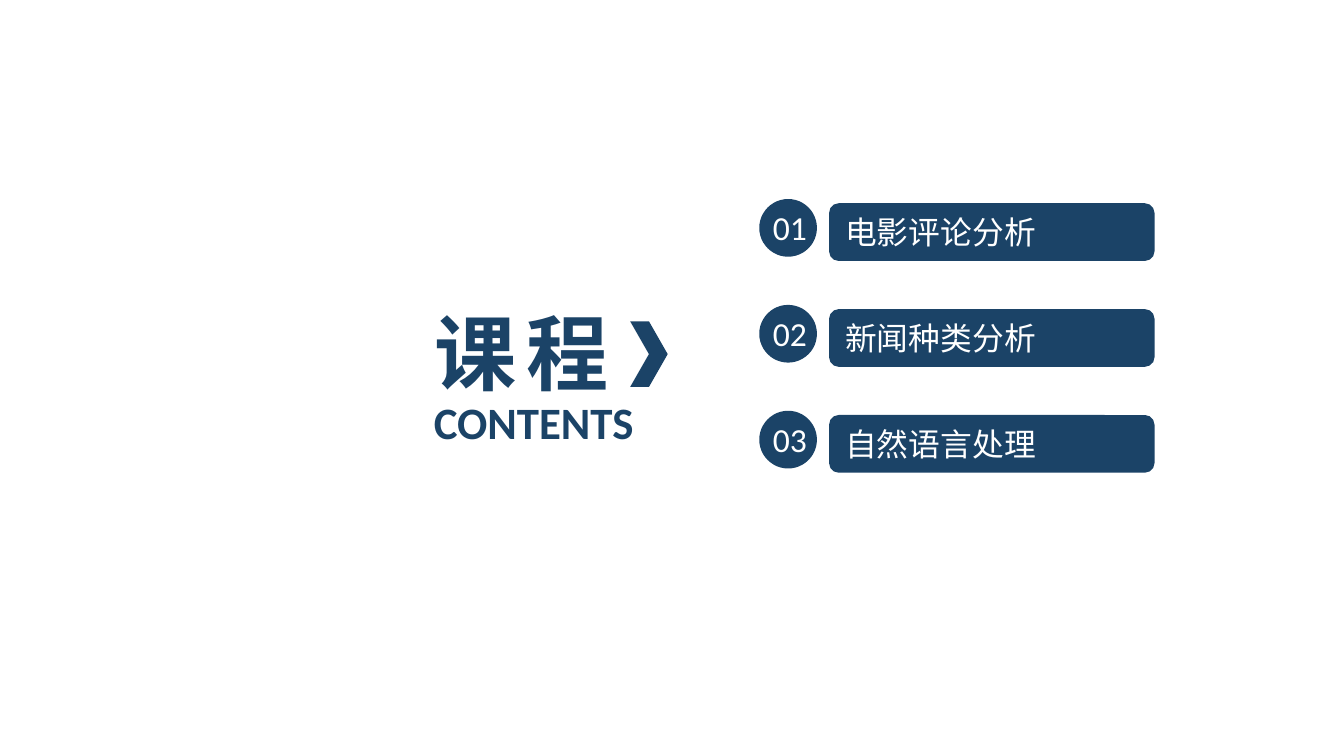
from dataclasses import dataclass

from pptx import Presentation
from pptx.dml.color import RGBColor
from pptx.enum.shapes import MSO_SHAPE
from pptx.enum.text import MSO_ANCHOR, MSO_AUTO_SIZE, PP_ALIGN
from pptx.util import Cm, Pt

ROUNDED, OVAL, CHEVRON = (
    MSO_SHAPE.ROUNDED_RECTANGLE, MSO_SHAPE.OVAL, MSO_SHAPE.CHEVRON)
LEFT, CENTER = PP_ALIGN.LEFT, PP_ALIGN.CENTER
TOP, MIDDLE = MSO_ANCHOR.TOP, MSO_ANCHOR.MIDDLE
GROW = MSO_AUTO_SIZE.SHAPE_TO_FIT_TEXT
TITLE_ONLY = 5


@dataclass(frozen=True)
class Theme:
    navy: RGBColor = RGBColor(0x1B, 0x43, 0x67)
    white: RGBColor = RGBColor(0xFF, 0xFF, 0xFF)
    font: str = "Calibri"
    title: Pt = Pt(44)
    subtitle: Pt = Pt(24)
    number: Pt = Pt(18)
    topic: Pt = Pt(17)


THEME = Theme()
TOPICS = ["电影评论分析", "新闻种类分析", "自然语言处理"]
FIRST_TOP, ROW_PITCH, ROW_HEIGHT = 3.76, 2.0, 1.09


def write(holder, text, size, color, bold=False, align=LEFT, anchor=TOP):
    """Put one formatted line into a shape and return its run."""
    frame = holder.text_frame
    for name, value in {"word_wrap": True, "auto_size": GROW,
                        "vertical_anchor": anchor}.items():
        setattr(frame, name, value)
    line = frame.paragraphs[0]
    line.alignment = align
    run = line.add_run()
    run.text = text
    for name, value in {"name": THEME.font, "size": size, "bold": bold}.items():
        setattr(run.font, name, value)
    run.font.color.rgb = color
    return run


def add_block(shapes, kind, left, top, width, height):
    """Add a plain navy shape; lengths in centimetres."""
    block = shapes.add_shape(kind, Cm(left), Cm(top), Cm(width), Cm(height))
    block.shadow.inherit = False
    block.fill.solid()
    block.fill.fore_color.rgb = THEME.navy
    block.line.fill.background()
    return block


def add_heading(slide):
    title = slide.shapes.title
    for name, value in {"left": 7.95, "top": 5.59,
                        "width": 5.97, "height": 2.13}.items():
        setattr(title, name, Cm(value))
    run = write(title, "课 程", THEME.title, THEME.navy, bold=True)
    run._r.get_or_add_rPr().set("spc", "-220")  # tighter letter spacing

    subtitle = slide.shapes.add_textbox(Cm(7.95), Cm(7.34), Cm(5.87), Cm(1.27))
    write(subtitle, "CONTENTS", THEME.subtitle, THEME.navy, bold=True)
    add_block(slide.shapes, CHEVRON, 11.91, 6.07, 0.71, 1.24)


def add_topic(slide, number, topic, top):
    bar = add_block(slide.shapes, ROUNDED, 15.67, top + 0.08, 6.15, ROW_HEIGHT)
    write(bar, topic, THEME.topic, THEME.white, anchor=MIDDLE)

    # Number badge: circle and label move together
    badge = slide.shapes.add_group_shape().shapes
    add_block(badge, OVAL, 14.35, top, ROW_HEIGHT, ROW_HEIGHT)
    label = badge.add_textbox(Cm(14.27), Cm(top + 0.03), Cm(1.32), Cm(1.02))
    write(label, f"{number:02}", THEME.number, THEME.white, align=CENTER)


def main():
    deck = Presentation()
    deck.slide_width, deck.slide_height = Cm(25.4), Cm(14.28)
    slide = deck.slides.add_slide(deck.slide_layouts[TITLE_ONLY])

    # Heading on the left, numbered topics on the right
    add_heading(slide)
    for row, topic in enumerate(TOPICS):
        add_topic(slide, row + 1, topic, FIRST_TOP + row * ROW_PITCH)

    deck.save("out.pptx")


if __name__ == "__main__":
    main()
